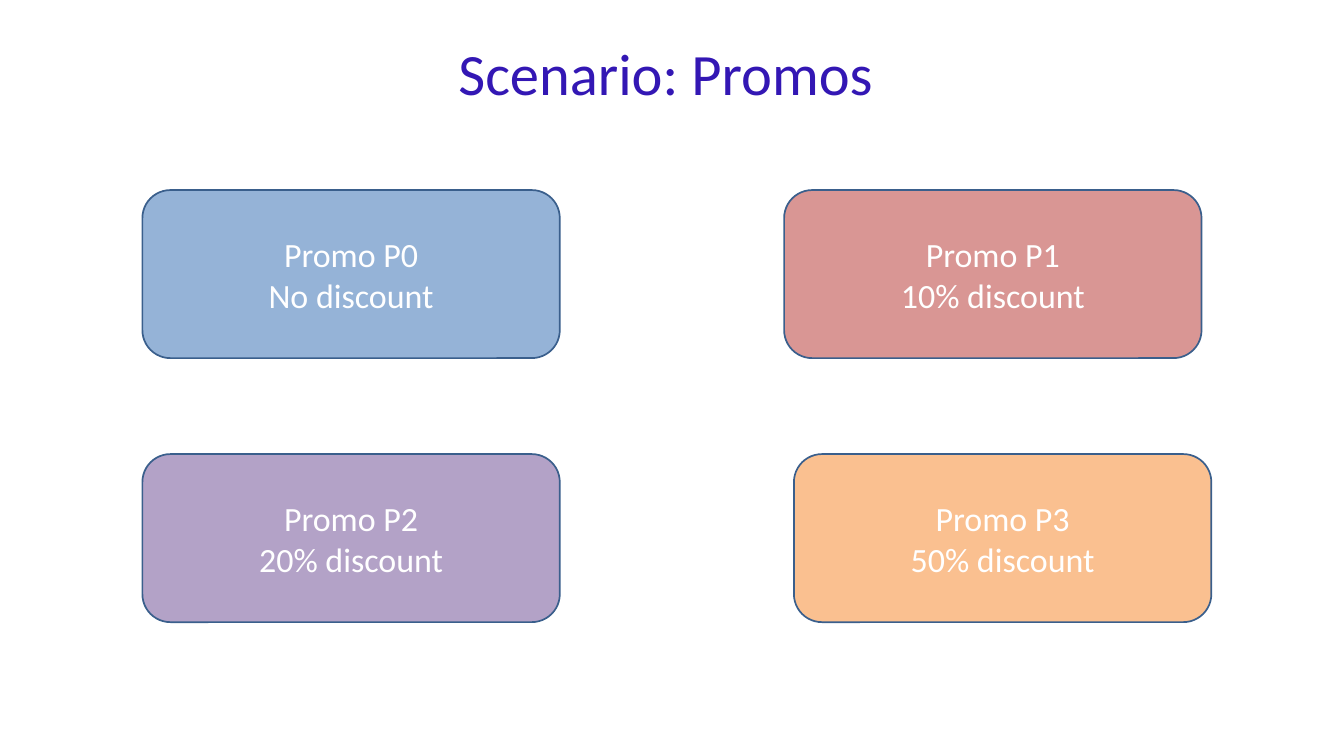
import pptx
import pptx.dml.color
import pptx.enum.shapes
import pptx.enum.text
import pptx.util
from pptx.util import Inches

FONT = "Calibri"
CARD_SIZE = (6.83, 2.75)
PROMOS = [
    (2.33, 3.11, "95B3D7", "Promo P0", "No discount"),
    (12.83, 3.11, "D99694", "Promo P1", "10% discount"),
    (2.33, 7.43, "B3A2C7", "Promo P2", "20% discount"),
    (12.99, 7.43, "FAC090", "Promo P3", "50% discount"),
]


def rgb(value):
    return pptx.dml.color.RGBColor.from_string(value)


def write_lines(tf, lines, size, color, align):
    """Fill a text frame without margins, one paragraph per line."""
    tf.margin_left = tf.margin_right = tf.margin_top = tf.margin_bottom = 0
    for i, line in enumerate(lines):
        p = tf.paragraphs[0] if i == 0 else tf.add_paragraph()
        p.text = line
        p.alignment = align
        p.font.name = FONT
        p.font.size = pptx.util.Pt(size)
        p.font.color.rgb = rgb(color)


def add_title(s, box, text):
    tf = s.shapes.add_textbox(*map(Inches, box)).text_frame
    tf.word_wrap = True
    write_lines(tf, [text], 69, "3317B4", pptx.enum.text.PP_ALIGN.LEFT)


def add_promo_card(s, box, fill, lines):
    sp = s.shapes.add_shape(
        pptx.enum.shapes.MSO_SHAPE.ROUNDED_RECTANGLE, *map(Inches, box))
    sp.shadow.inherit = False
    sp.fill.solid()
    sp.fill.fore_color.rgb = rgb(fill)
    sp.line.color.rgb = rgb("3A5F8C")
    sp.line.width = pptx.util.Pt(2)
    tf = sp.text_frame
    tf.word_wrap = True
    tf.vertical_anchor = pptx.enum.text.MSO_ANCHOR.MIDDLE
    write_lines(tf, lines, 40, "FFFFFF", pptx.enum.text.PP_ALIGN.CENTER)


def main():
    prs = pptx.Presentation()
    prs.slide_width, prs.slide_height = Inches(21.99), Inches(12.37)
    s = prs.slides.add_slide(prs.slide_layouts[6])
    add_title(s, (7.5, 0.6, 6.99, 1.18), "Scenario: Promos")
    for left, top, fill, *lines in PROMOS:
        add_promo_card(s, (left, top, *CARD_SIZE), fill, lines)
    prs.save("out.pptx")


if __name__ == "__main__":
    main()
